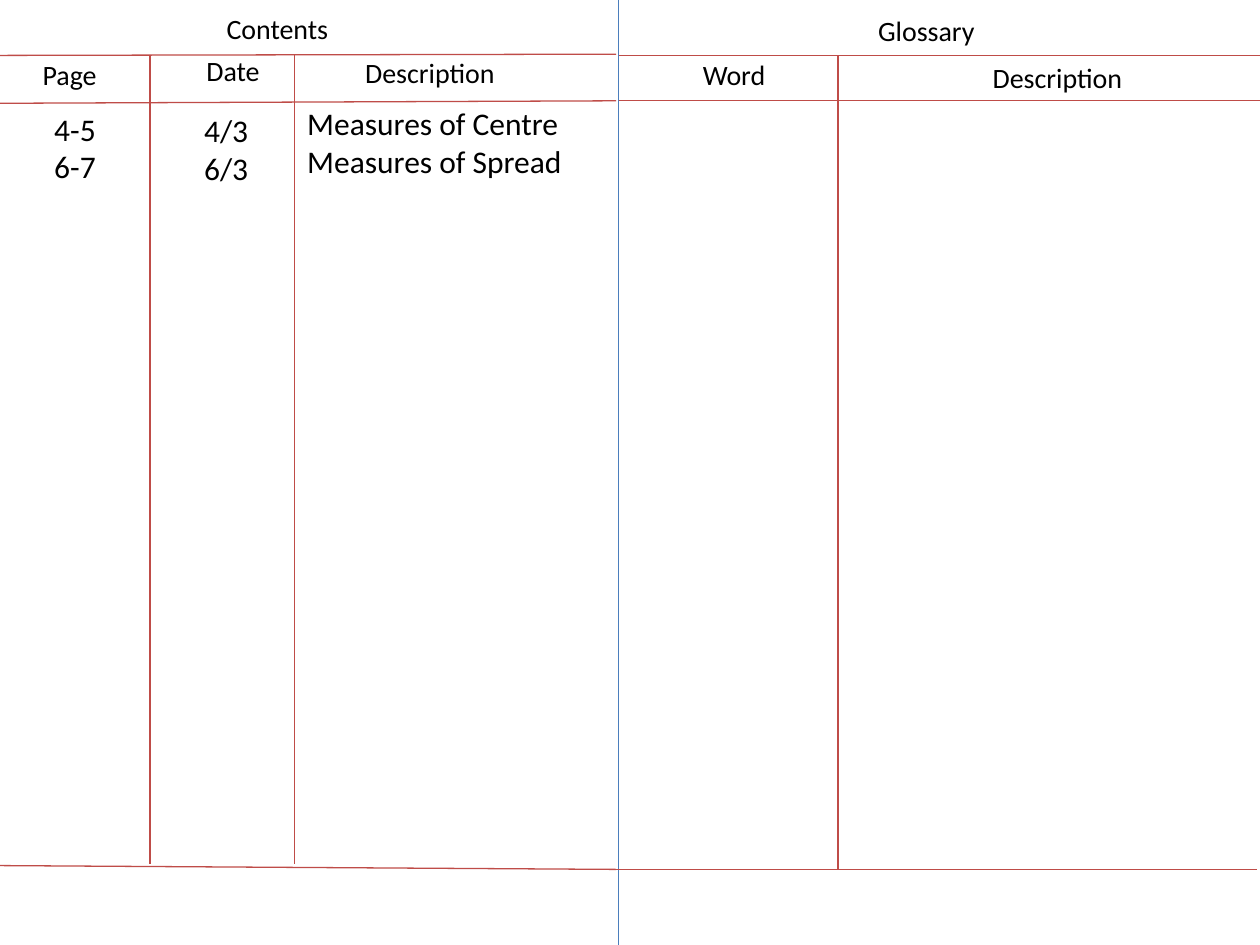
from collections import namedtuple

import pptx
import pptx.dml.color
import pptx.enum.shapes
import pptx.enum.text
import pptx.oxml.ns
import pptx.util
from lxml import etree

EMU_PER_PX = 9144  # 100 px to the inch
Box = namedtuple("Box", "left top width height")
ALIGN = pptx.enum.text.PP_ALIGN


class Theme:
    font = "Calibri"
    ink = "000000"
    rule = "BF4C48"
    divider = "4B7EBC"
    label_size = 16
    entry_size = 18
    rule_width = 0.75


def emu(px):
    return pptx.util.Emu(px * EMU_PER_PX)


def rgb(code):
    return pptx.dml.color.RGBColor.from_string(code)


def add_text(page, area, text, left, top, width, height=37,
             size=Theme.label_size, align=ALIGN.LEFT, wrap=True):
    """Write one paragraph per line of text, placed relative to the area."""
    box = page.shapes.add_textbox(emu(area.left + left), emu(area.top + top),
                                  emu(width), emu(height))
    frame = box.text_frame
    frame.word_wrap = wrap
    frame.auto_size = pptx.enum.text.MSO_AUTO_SIZE.SHAPE_TO_FIT_TEXT
    for index, line in enumerate(text.split("\n")):
        para = frame.add_paragraph() if index else frame.paragraphs[0]
        para.alignment = align
        span = para.add_run()
        span.text = line
        span.font.name = Theme.font
        span.font.size = pptx.util.Pt(size)
        span.font.color.rgb = rgb(Theme.ink)


def add_rule(page, area, x1, y1, x2, y2, color=Theme.rule):
    line = page.shapes.add_connector(
        pptx.enum.shapes.MSO_CONNECTOR.STRAIGHT,
        emu(area.left + x1), emu(area.top + y1),
        emu(area.left + x2), emu(area.top + y2))
    line.line.color.rgb = rgb(color)
    line.line.width = pptx.util.Pt(Theme.rule_width)
    etree.SubElement(line._element.spPr, pptx.oxml.ns.qn("a:effectLst"))


def draw_contents(page, area):
    right = area.width - 2
    for start, end in ((44, 43), (82, 80), (687, 690)):
        add_rule(page, area, 0, start, right, end)
    for x in (119, 234):
        add_rule(page, area, x, 44, x, 686)

    add_text(page, area, "Contents", 170, 4, 102, wrap=False)
    add_text(page, area, "Page", 24, 41, 64, wrap=False)
    add_text(page, area, "Date", 154, 38, 63, wrap=False)
    add_text(page, area, "Description", 280, 39, 153)

    entries = {"height": 71, "size": Theme.entry_size}
    add_text(page, area, "4-5\n6-7", 0, 82, 119, align=ALIGN.CENTER, **entries)
    add_text(page, area, "4/3\n6/3", 122, 83, 115, align=ALIGN.CENTER, **entries)
    add_text(page, area, "Measures of Centre\nMeasures of Spread",
             234, 78, 254, **entries)


def draw_glossary(page, area):
    for y, shift in ((44, 0), (80, 0), (690, -2)):
        add_rule(page, area, shift, y, area.width + shift, y)
    add_rule(page, area, 174, 44, 174, 690)

    add_text(page, area, "Glossary", 196, 6, 111)
    add_text(page, area, "Word", 57, 41, 88)
    add_text(page, area, "Description", 287, 43, 124)


def main():
    deck = pptx.Presentation()
    whole = Box(0, 0, 1000, 750)
    deck.slide_width, deck.slide_height = emu(whole.width), emu(whole.height)
    page = deck.slides.add_slide(deck.slide_layouts[6])

    fold = 491
    add_rule(page, whole, fold, 0, fold, whole.height, color=Theme.divider)
    draw_contents(page, Box(0, 0, fold, whole.height))
    draw_glossary(page, Box(fold, 0, whole.width - fold, whole.height))
    deck.save("out.pptx")


if __name__ == "__main__":
    main()
